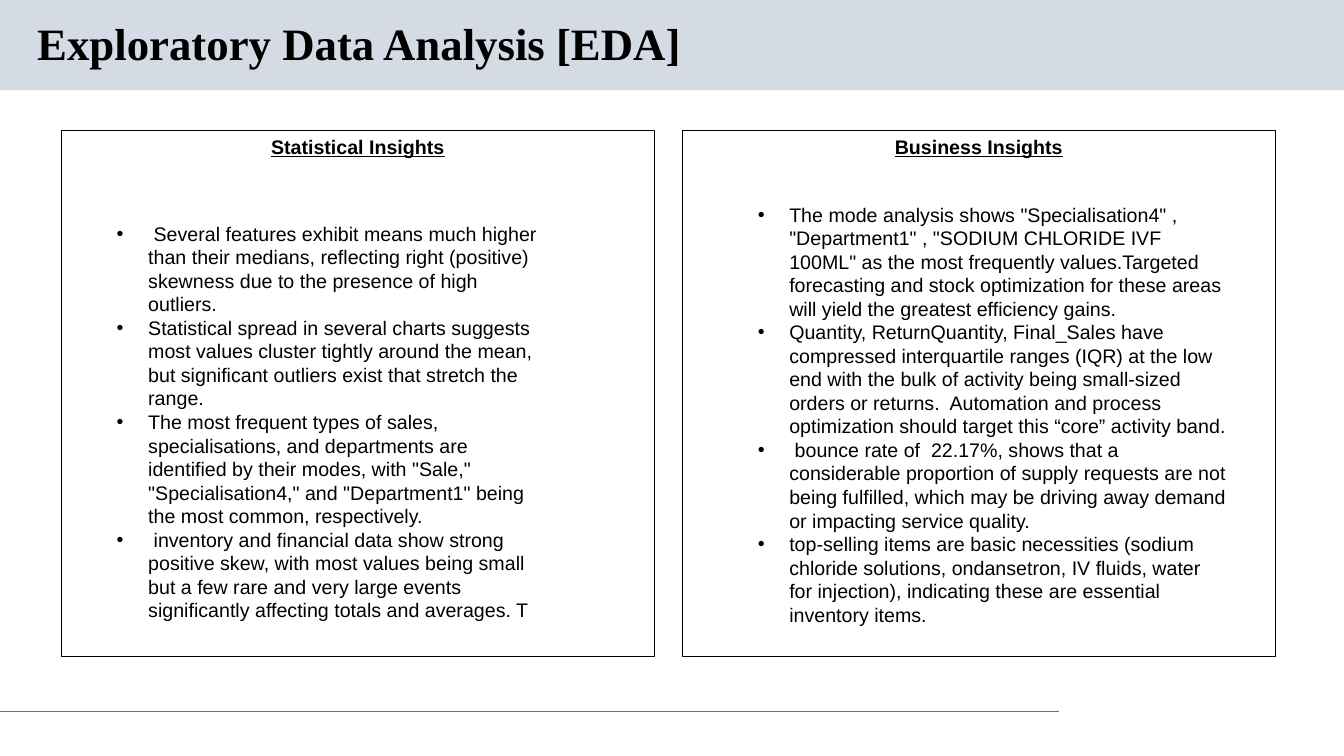
from lxml import etree
from pptx import Presentation
from pptx.dml.color import RGBColor
from pptx.enum import shapes, text
from pptx.oxml import ns
from pptx.util import Pt

TITLE = "Exploratory Data Analysis [EDA]"
PANELS = [
    {
        "heading": "Statistical Insights",
        "body": (76.3, 154.8, 319.7, 295.2),
        "bullets": [
            " Several features exhibit means much higher than their medians, reflecting right (positive) skewness due to the presence of high outliers.",
            "Statistical spread in several charts suggests most values cluster tightly around the mean, but significant outliers exist that stretch the range.",
            'The most frequent types of sales, specialisations, and departments are identified by their modes, with "Sale," "Specialisation4," and "Department1" being the most common, respectively.',
            " inventory and financial data show strong positive skew, with most values being small but a few rare and very large events significantly affecting totals and averages. T",
        ],
    },
    {
        "heading": "Business Insights",
        "body": (534.2, 141.1, 350, 309.6),
        "bullets": [
            'The mode analysis shows "Specialisation4" , "Department1" , "SODIUM CHLORIDE IVF 100ML" as the most frequently values.Targeted forecasting and stock optimization for these areas will yield the greatest efficiency gains.',
            "Quantity, ReturnQuantity, Final_Sales have compressed interquartile ranges (IQR) at the low end with the bulk of activity being small-sized orders or returns.  Automation and process optimization should target this “core” activity band.",
            " bounce rate of  22.17%, shows that a considerable proportion of supply requests are not being fulfilled, which may be driving away demand or impacting service quality.",
            "top-selling items are basic necessities (sodium chloride solutions, ondansetron, IV fluids, water for injection), indicating these are essential inventory items.",
        ],
    },
]
SLIDE_W, SLIDE_H = 960, 540
PANEL_X, PANEL_Y, PANEL_W, PANEL_H, PANEL_GAP = 43.9, 92.9, 423.4, 375.8, 20.2
HEADING_H = 24.5
INDENT = 22.5


def color(value):
    return RGBColor.from_string(value)


def box(x, y, w, h, fill=None, line=None):
    sp = s.shapes.add_shape(shapes.MSO_SHAPE.RECTANGLE, Pt(x), Pt(y), Pt(w), Pt(h))
    sp.shadow.inherit = False
    if fill:
        sp.fill.solid()
        sp.fill.fore_color.rgb = color(fill)
    else:
        sp.fill.background()
    if line:
        sp.line.color.rgb = color(line)
        sp.line.width = Pt(0.75)
    else:
        sp.line.fill.background()
    return sp


def write(p, content, size=14, font="Arial", bold=False, underline=False, align=None):
    p.alignment = align
    r = p.add_run()
    r.text = content
    r.font.size = Pt(size)
    r.font.name = font
    r.font.bold = bold
    r.font.underline = underline
    r.font.color.rgb = color("000000")


def text_frame(x, y, w, h):
    tf = s.shapes.add_textbox(Pt(x), Pt(y), Pt(w), Pt(h)).text_frame
    tf.word_wrap = True
    return tf


def add_bullet(p):
    pPr = p._p.get_or_add_pPr()
    pPr.set("marL", str(Pt(INDENT)))
    pPr.set("indent", str(-Pt(INDENT)))
    etree.SubElement(pPr, ns.qn("a:buFont"), typeface="Arial")
    etree.SubElement(pPr, ns.qn("a:buChar"), char="•")


prs = Presentation()
prs.slide_width, prs.slide_height = Pt(SLIDE_W), Pt(SLIDE_H)
s = prs.slides.add_slide(prs.slide_layouts[5])

title = s.shapes.title
title.left, title.top, title.width, title.height = Pt(19.4), Pt(10.8), Pt(728), Pt(44.6)
tf = title.text_frame
tf.vertical_anchor = text.MSO_ANCHOR.MIDDLE
tf.word_wrap = True
p = tf.paragraphs[0]
p.line_spacing = 0.9
write(p, TITLE, size=32, font="Times New Roman", bold=True, align=text.PP_ALIGN.LEFT)

band = box(0, 0, SLIDE_W, 64.4, fill="D5DBE5")
title.element.addprevious(band.element)

rule = s.shapes.add_connector(shapes.MSO_CONNECTOR.STRAIGHT, Pt(0), Pt(508.3), Pt(756.5), Pt(508.3))
rule.line.color.rgb = color("4472C4")
rule.line.width = Pt(0.75)
etree.SubElement(rule.element.spPr, ns.qn("a:effectLst"))

for i, panel in enumerate(PANELS):
    x = PANEL_X + i * (PANEL_W + PANEL_GAP)
    box(x, PANEL_Y, PANEL_W, PANEL_H, line="000000")
    tf = text_frame(x, PANEL_Y, PANEL_W, HEADING_H)
    write(tf.paragraphs[0], panel["heading"], bold=True, underline=True, align=text.PP_ALIGN.CENTER)
    tf = text_frame(*panel["body"])
    for j, bullet in enumerate(panel["bullets"]):
        p = tf.add_paragraph() if j else tf.paragraphs[0]
        write(p, bullet)
        add_bullet(p)

prs.save("out.pptx")
